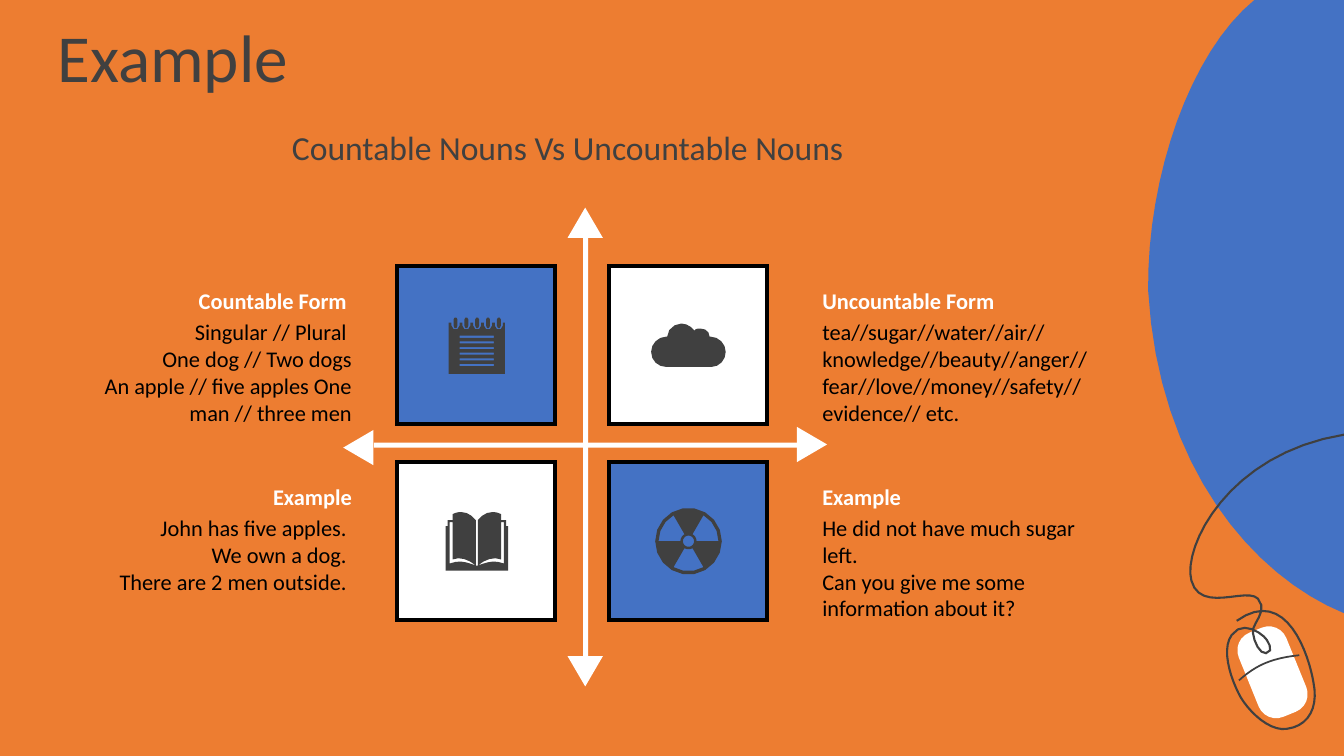
"""Build the slide comparing countable and uncountable nouns."""
from math import cos, dist, radians, sin

from lxml.etree import SubElement
from pptx import Presentation
from pptx.dml.color import RGBColor
from pptx.enum.shapes import MSO_SHAPE as Preset
from pptx.enum.text import MSO_ANCHOR as Anchor, MSO_AUTO_SIZE as AutoSize, PP_ALIGN as Align
from pptx.oxml.ns import qn
from pptx.util import Pt

COLORS = {"orange": "ED7D31", "blue": "4472C4", "white": "FFFFFF", "black": "000000", "gray": "404040"}
TITLE = ("Example", (33.8, 13, 926, 60.5), 48, Align.LEFT)
SUBTITLE = ("Countable Nouns Vs Uncountable Nouns", (0, 91.8, 810.8, 30.2), 24, Align.CENTER)

QUADRANTS = [
    ("Countable Form ", ["Singular // Plural ", "One dog // Two dogs",
                         "An apple // five apples One man // three men"], "blue", 203),
    ("Uncountable Form", ["tea//sugar//water//air// knowledge//beauty//anger// "
                          "fear//love//money//safety// evidence// etc."], "white", 236),
    ("Example", ["John has five apples. ", "We own a dog. ", "There are 2 men outside. "], "white", 203),
    ("Example", ["He did not have much sugar left.", "Can you give me some information about it?"],
     "blue", 203),
]
CARD_LEFTS, CARD_TOPS, CARD_SIZE = (283.7, 434.9), (190.1, 329.8), 113
TEXT_COLUMNS = [(55.4, Align.RIGHT), (580.3, Align.LEFT)]
HEADING_DROP, HEADING_HEIGHT, BODY_DROP, BODY_HEIGHT = 11.5, 26.6, 33.8, 85

AXIS_CENTER, AXIS_LENGTH, AXIS_WIDTH = (418.3, 317.9), 302.4, 3.6
HEAD_SIZE = (25.2, 21.6)
HEADS = [(418, 159.1, 0), (580, 317.5, 90), (418, 479.5, 180), (256, 319.7, 270)]

BLOB = [(896, 0), (960, 0), (960, 438), (895.7, 411.8, 827.3, 334.1, 820.1, 207.4),
        (819.4, 125.3, 850.3, 37.4, 896, 0)]
MOUSE_BODY = (890.6, 447.8, 36.7, 64.8)
CABLE = [(883.4, 443.5), (919.4, 417.6, 935.3, 469.4, 938.2, 487.4),
         (941.8, 504.7, 935.3, 518.4, 919.4, 520.6), (907.2, 522.7, 892.8, 509, 886.3, 498.2),
         (879.8, 486.7, 871.9, 464.4, 879.8, 453.6), (887.8, 442.1, 902.2, 452.9, 905, 457.2),
         (907.2, 460.8, 909.4, 465.8, 904.3, 466.6), (900, 467.3, 895.7, 458.6, 895, 452.2),
         (893.5, 445.7, 906.5, 437, 898.6, 427.7), (890.6, 419, 857.5, 438.5, 851, 414.7),
         (844.6, 391, 877, 324, 960, 310.5)]
MOUSE_SEAM = [(885, 486), (897.1, 475.2, 907.9, 470.2, 928.1, 468)]
CLOUD = [(486.7, 231.1), (490.3, 231.1, 493.9, 233.3, 496.1, 236.2),
         (496.8, 234.7, 498.2, 234.7, 500.4, 234.7), (504, 234.7, 506.9, 236.9, 506.9, 240.5),
         (507.6, 240.5), (513.4, 240.5, 518.4, 245.5, 518.4, 251.3),
         (518.4, 257, 514.1, 262.1, 508.3, 262.1), (475.9, 262.1),
         (470.2, 262.1, 465.1, 257.8, 465.1, 251.3), (465.1, 245.5, 470.2, 240.5, 475.9, 240.5),
         (476.6, 240.5), (476.6, 235.4, 481.7, 231.1, 486.7, 231.1)]
BOOK_SPINE = 340.6
HALF_BOOK = [(0.7, 371.5), (3.6, 367.9, 7.2, 365.8, 10.8, 365.8), (13, 365.8, 14.4, 365.8, 17.3, 367.2),
             (17.3, 371.5), (20.9, 371.5), (20.9, 375.8), (22.3, 375.8), (22.3, 407.5), (0, 407.5),
             (0, 404), (0.7, 404)]
PAGE_GAP = [(17.3, 373), (19.4, 373), (19.4, 402.5), (11.5, 399.6, 7.2, 401.8, 0.7, 403.9),
            (5.8, 399.6, 12.2, 397.4, 17.3, 399.6)]
PAD_LEFT, PAD_RIGHT, PAD_TOP, PAD_BOTTOM = 320.4, 360.7, 230.4, 267.1
RINGS = [325.4 + 7.74 * i for i in range(5)]
PAD_LINES = [239.8 + 4.03 * i for i in range(6)]
TREFOIL_CENTER, TREFOIL_RADIUS, HUB_RADIUS, SECTOR_RADII = (491.8, 386.6), 23.8, 4, (5.8, 21.4)
ARC_STEP = 20


def rgb(name):
    return RGBColor.from_string(COLORS[name])


def paint(shape, fill=None, line=None, width=0):
    shape.shadow.inherit = False
    if fill:
        shape.fill.solid()
        shape.fill.fore_color.rgb = rgb(fill)
    else:
        shape.fill.background()
    if line:
        shape.line.color.rgb = rgb(line)
        shape.line.width = Pt(width)
        SubElement(shape._element.spPr.find(qn("a:ln")), qn("a:miter"), lim="800000")
    else:
        shape.line.fill.background()


def add_preset(preset, box, rotation=0, **colors):
    shape = slide.shapes.add_shape(preset, *map(Pt, box))
    shape.rotation = rotation
    paint(shape, **colors)
    return shape


def flatten(contour):
    points = [contour[0]]
    for part in contour[1:]:
        if len(part) == 2:
            points.append(part)
            continue
        x0, y0 = points[-1]
        x1, y1, x2, y2, x3, y3 = part
        steps = max(3, min(16, round(dist((x0, y0), (x3, y3)) / 4)))
        for t in (i / steps for i in range(1, steps + 1)):
            a, b, c, d = (1 - t) ** 3, 3 * t * (1 - t) ** 2, 3 * t * t * (1 - t), t ** 3
            points.append((a * x0 + b * x1 + c * x2 + d * x3, a * y0 + b * y1 + c * y2 + d * y3))
    return [(Pt(x), Pt(y)) for x, y in points]


def add_outline(contours, closed=True, **colors):
    builder = None
    for start, *rest in map(flatten, contours):
        if builder is None:
            builder = slide.shapes.build_freeform(*start, scale=1.0)
        else:
            builder.move_to(*start)
        builder.add_line_segments(rest, close=closed)
    paint(builder.convert_to_shape(), **colors)


def mirror(contour, side):
    return [tuple(v if i % 2 else BOOK_SPINE + side * v for i, v in enumerate(part)) for part in contour]


def notepad():
    body = [(PAD_LEFT, PAD_TOP)]
    for x in RINGS:
        body += [(x - 2.9, PAD_TOP), (x - 2.9, 232.6),
                 (x - 2.9, 236.3, x + 2.9, 236.3, x + 2.9, 232.6), (x + 2.9, PAD_TOP)]
    body += [(PAD_RIGHT, PAD_TOP), (PAD_RIGHT, PAD_BOTTOM), (PAD_LEFT, PAD_BOTTOM)]
    rings = [[(x - 1.4, 228.2), (x - 1.4, 226.3, x + 1.4, 226.3, x + 1.4, 228.2), (x + 1.4, 232.6),
              (x + 1.4, 235.2, x - 1.4, 235.2, x - 1.4, 232.6)] for x in RINGS]
    lines = [[(328.3, y), (352.8, y), (352.8, y + 1.5), (328.3, y + 1.5)] for y in PAD_LINES]
    return [body, *rings, *lines]


def arc(radius, start, end):
    x, y = TREFOIL_CENTER
    step = ARC_STEP if end > start else -ARC_STEP
    return [(x + radius * cos(radians(a)), y - radius * sin(radians(a)))
            for a in range(start, end + step, step)]


def trefoil():
    inner, outer = SECTOR_RADII
    sectors = [arc(outer, a, a + 60) + arc(inner, a + 60, a) for a in (0, 120, 240)]
    rings = [arc(radius, 0, 360 - ARC_STEP) for radius in (TREFOIL_RADIUS, HUB_RADIUS)]
    return rings + sectors


def write(frame, lines, size, color, align, bold=False, spacing=None):
    frame.word_wrap = True
    for i, line in enumerate(lines):
        paragraph = frame.paragraphs[0] if i == 0 else frame.add_paragraph()
        paragraph.text = line
        for name, value in {"alignment": align, "line_spacing": spacing, "space_before": Pt(0)}.items():
            setattr(paragraph, name, value)
        for name, value in {"name": "Calibri", "size": Pt(size), "bold": bold}.items():
            setattr(paragraph.runs[0].font, name, value)
        paragraph.runs[0].font.color.rgb = rgb(color)


def fill_placeholder(holder, text, box, size, align):
    for name, value in zip(("left", "top", "width", "height"), box):
        setattr(holder, name, Pt(value))
    frame = holder.text_frame
    properties = frame.paragraphs[0]._p.get_or_add_pPr()
    properties.set("marL", "0")
    properties.set("indent", "0")
    SubElement(properties, qn("a:buNone"))
    write(frame, [text], size, "gray", align, spacing=0.9)
    frame.auto_size = AutoSize.NONE
    frame.vertical_anchor = Anchor.MIDDLE


def add_text(box, lines, color, align, bold=False):
    frame = slide.shapes.add_textbox(*map(Pt, box)).text_frame
    write(frame, lines, 16, color, align, bold)
    frame.auto_size = AutoSize.SHAPE_TO_FIT_TEXT


deck = Presentation()
deck.slide_width, deck.slide_height = Pt(960), Pt(540)
slide = deck.slides.add_slide(deck.slide_layouts[1])
slide.background.fill.solid()
slide.background.fill.fore_color.rgb = rgb("orange")
for holder, content in zip(slide.placeholders, (TITLE, SUBTITLE)):
    fill_placeholder(holder, *content)

add_outline([BLOB], fill="blue")
add_preset(Preset.ROUNDED_RECTANGLE, MOUSE_BODY, 337.9, fill="white").adjustments[0] = 0.368
add_outline([CABLE], closed=False, line="gray", width=1.5)
add_outline([MOUSE_SEAM], closed=False, line="gray", width=1.25)

for i, (heading, lines, card_color, width) in enumerate(QUADRANTS):
    row, column = divmod(i, 2)
    top = CARD_TOPS[row]
    left, align = TEXT_COLUMNS[column]
    add_preset(Preset.RECTANGLE, (CARD_LEFTS[column], top, CARD_SIZE, CARD_SIZE),
               fill=card_color, line="black", width=3)
    add_text((left, top + BODY_DROP, width, BODY_HEIGHT), lines, "black", align)
    add_text((left, top + HEADING_DROP, width, HEADING_HEIGHT), [heading], "white", align, bold=True)

book = [mirror(contour, side) for side in (-1, 1) for contour in (HALF_BOOK, PAGE_GAP)]
for icon in (notepad(), [CLOUD], book, trefoil()):
    add_outline(icon, fill="gray")

center_x, center_y = AXIS_CENTER
for rotation in (0, 90):
    add_preset(Preset.RECTANGLE, (center_x - AXIS_LENGTH / 2, center_y - AXIS_WIDTH / 2,
                                  AXIS_LENGTH, AXIS_WIDTH), rotation, fill="white")
for x, y, rotation in HEADS:
    add_preset(Preset.ISOSCELES_TRIANGLE, (x - HEAD_SIZE[0] / 2, y - HEAD_SIZE[1] / 2, *HEAD_SIZE),
               rotation, fill="white")

deck.save("out.pptx")
